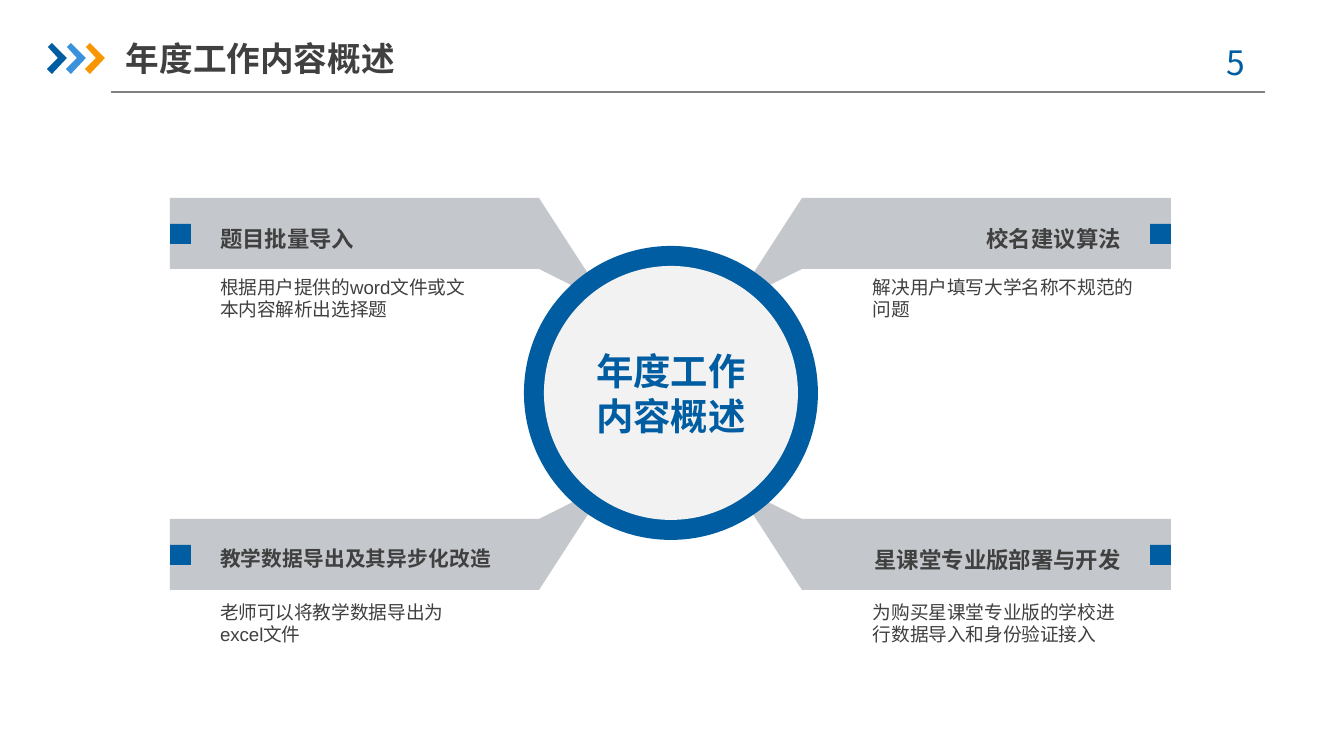
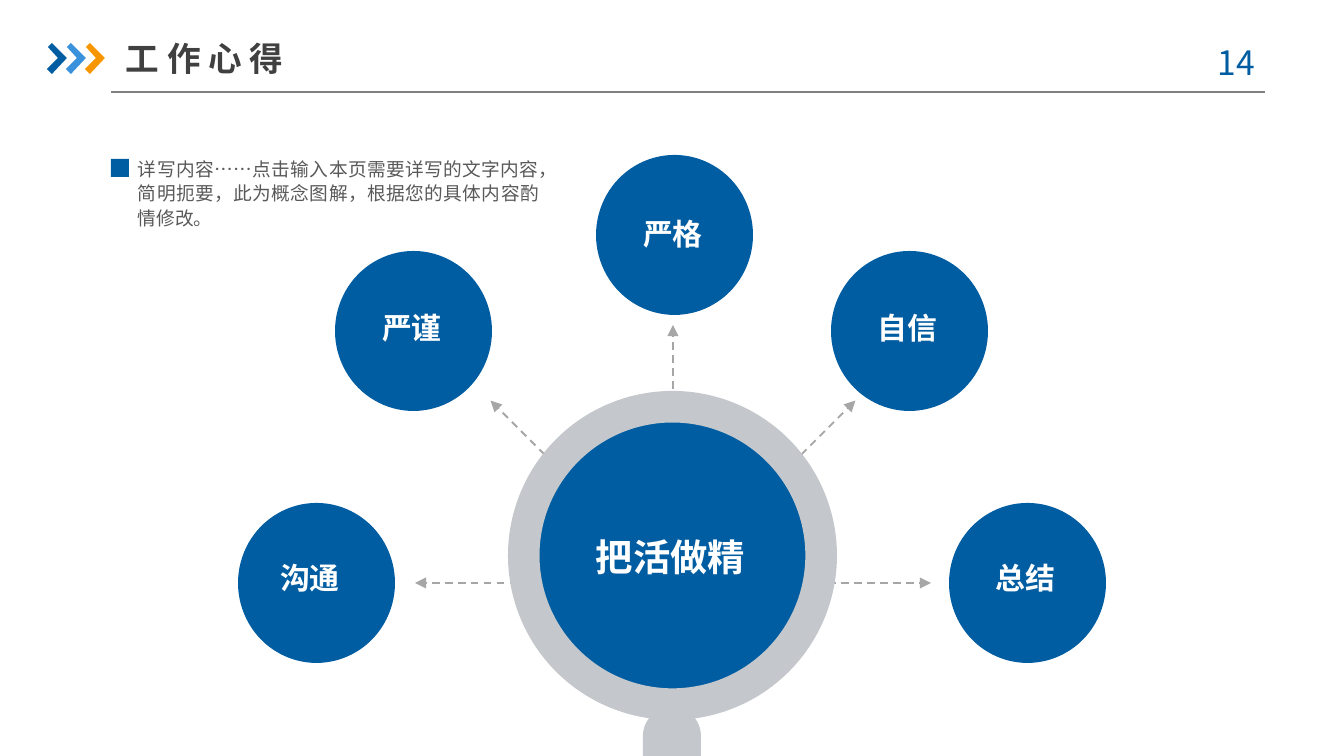
from math import cos, radians, sin

from pptx import Presentation
from pptx.dml.color import RGBColor
from pptx.enum.dml import MSO_LINE
from pptx.enum.shapes import MSO_CONNECTOR, MSO_SHAPE
from pptx.enum.text import MSO_ANCHOR, MSO_AUTO_SIZE, PP_ALIGN
from pptx.oxml.ns import qn
from pptx.util import Pt
from lxml.etree import SubElement

SCALE = 914400 / 134.4
SLIDE_SIZE = (1344, 756)
LATIN_FONT = "Arial"
ASIAN_FONT = "Noto Sans CJK SC"
COLORS = {
    "blue": "005DA2",
    "sky": "3992DB",
    "orange": "F79600",
    "silver": "C4C7CB",
    "pale": "F2F2F2",
    "white": "FFFFFF",
    "title": "404040",
    "body": "595959",
    "rule": "808080",
    "arrow": "A6A6A6",
}


def px(length):
    return round(length * SCALE)


def color(name):
    return RGBColor.from_string(COLORS[name])


def paint(shape, fill):
    shape.shadow.inherit = False
    shape.fill.solid()
    shape.fill.fore_color.rgb = color(fill)
    shape.line.fill.background()
    return shape


def add_block(page, kind, box, fill):
    """Add a filled preset shape without outline; box is left, top, width, height."""
    return paint(page.shapes.add_shape(kind, *map(px, box)), fill)


def add_outline(page, points, fill):
    """Add a filled polygon through the given points."""
    builder = page.shapes.build_freeform(*points[0], scale=SCALE)
    builder.add_line_segments(points[1:], close=True)
    return paint(builder.convert_to_shape(), fill)


def write(frame, text, size, fill, bold=False, align=PP_ALIGN.LEFT, font=LATIN_FONT):
    """Put one paragraph per line of text into the frame and format it."""
    frame.text = text
    for para in frame.paragraphs:
        para.alignment = align
        for span in para.runs:
            span.font.name = font
            span.font.size = Pt(size)
            span.font.bold = bold
            span.font.color.rgb = color(fill)
            properties = span.font._element
            SubElement(properties, qn("a:ea")).set("typeface", ASIAN_FONT)


def add_text(page, box, text, size, fill, insets=(0, 7), anchor=MSO_ANCHOR.TOP,
             grow=False, **style):
    frame = page.shapes.add_textbox(*map(px, box)).text_frame
    frame.word_wrap = True
    frame.auto_size = MSO_AUTO_SIZE.SHAPE_TO_FIT_TEXT if grow else MSO_AUTO_SIZE.NONE
    frame.vertical_anchor = anchor
    frame.margin_left = frame.margin_right = px(insets[0])
    frame.margin_top = frame.margin_bottom = px(insets[1])
    write(frame, text, size, fill, **style)
    return frame


def add_line(page, start, end, stroke, width):
    line = page.shapes.add_connector(MSO_CONNECTOR.STRAIGHT, *map(px, (*start, *end)))
    line.line.color.rgb = color(stroke)
    line.line.width = Pt(width)
    SubElement(line._element.spPr, qn("a:effectLst"))
    return line


def add_arrow(page, start, end):
    arrow = add_line(page, start, end, "arrow", 1)
    arrow.line.dash_style = MSO_LINE.DASH
    SubElement(arrow._element.spPr.find(qn("a:ln")), qn("a:tailEnd")).set("type", "triangle")


def add_header(page, title, number):
    add_line(page, (111, 92), (1265, 92), "rule", 0.75)
    chevron = [(1, 4), (5, 0), (20, 15), (5, 31), (0, 26), (11, 15)]
    for index, fill in enumerate(("blue", "sky", "orange")):
        left = 47 + 19 * index
        add_outline(page, [(left + x, 43 + y) for x, y in chevron], fill)
    add_text(page, (1191, 35, 98, 54), f"{number} ", 18, "blue", insets=(13, 7),
             grow=True, align=PP_ALIGN.CENTER, font=ASIAN_FONT)
    add_text(page, (126, 30, 313, 56), title, 18, "title", anchor=MSO_ANCHOR.MIDDLE,
             bold=True)


def add_branch(page, box, on_right, at_bottom, heading, heading_size, detail, detail_box):
    """Draw a bar with a wing towards the hub, its marker, heading and detail."""
    left, top, width, height = box

    def place(x, y):
        return (left + (width - x if on_right else x),
                top + (height - y if at_bottom else y))

    def inner_left(offset, size):
        return left + (width - offset - size if on_right else offset)

    add_block(page, MSO_SHAPE.RECTANGLE, box, "silver")
    wing = [(width, 0), (width + 57, 88), (width + 48, 95), (width, height)]
    add_outline(page, [place(x, y) for x, y in wing], "silver")
    add_block(page, MSO_SHAPE.RECTANGLE, (inner_left(0, 21), top + 26, 21, 20), "blue")
    add_text(page, (inner_left(50, 288), top + 20, 288, 42), heading, heading_size, "title",
             bold=True, align=PP_ALIGN.RIGHT if on_right else PP_ALIGN.LEFT)
    add_text(page, detail_box, detail, 10, "title", anchor=MSO_ANCHOR.MIDDLE)


def add_hub(page, box, text):
    left, top, size, _ = box
    rim = 20
    add_block(page, MSO_SHAPE.OVAL, box, "blue")
    disc = add_block(page, MSO_SHAPE.OVAL,
                     (left + rim, top + rim, size - 2 * rim, size - 2 * rim), "pale")
    disc.text_frame.vertical_anchor = MSO_ANCHOR.MIDDLE
    write(disc.text_frame, text, 20, "blue", bold=True, align=PP_ALIGN.CENTER)


def build_overview(page):
    add_header(page, "年度工作内容概述", 5)
    branches = [
        (False, False, "题目批量导入", 12,
         "根据用户提供的word文件或文本内容解析出选择题", (220, 289, 261, 18)),
        (False, True, "教学数据导出及其异步化改造", 11.1,
         "老师可以将教学数据导出为excel文件", (220, 614, 261, 18)),
        (True, False, "校名建议算法", 12,
         "解决用户填写大学名称不规范的问题", (873, 289, 276, 18)),
        (True, True, "星课堂专业版部署与开发", 12,
         "为购买星课堂专业版的学校进行数据导入和身份验证接入", (873, 614, 247, 18)),
    ]
    for on_right, at_bottom, *content in branches:
        box = (802 if on_right else 170, 519 if at_bottom else 198, 369, 71)
        add_branch(page, box, on_right, at_bottom, *content)
    add_hub(page, (524, 246, 294, 294), "年度工作\n内容概述")


def add_lens(page, box, text):
    """Draw a magnifying glass: disc, rim and handle, with its text."""
    left, top, size, _ = box
    add_block(page, MSO_SHAPE.OVAL, (left + 26, top + 27, size - 54, size - 54), "blue")
    rim = add_block(page, MSO_SHAPE.DONUT, box, "silver")
    rim.adjustments[0] = 0.096
    handle = add_block(page, MSO_SHAPE.ROUNDED_RECTANGLE,
                       (left + 135, top + 316, 58, 118), "silver")
    handle.adjustments[0] = 0.5
    add_text(page, (left + 55, top + 136, 215, 59), text, 20, "white", insets=(13, 7),
             grow=True, bold=True, align=PP_ALIGN.CENTER)


def add_quality(page, left, top, label_shift, text):
    add_block(page, MSO_SHAPE.OVAL, (left, top, 157, 160), "blue")
    shift_x, shift_y = label_shift
    add_text(page, (left + shift_x, top + shift_y, 130, 52), text, 16, "white",
             insets=(16, 8), grow=True, bold=True, align=PP_ALIGN.CENTER)


def add_note(page, box, text):
    left, top, width, height = box
    add_block(page, MSO_SHAPE.RECTANGLE, (left, top + 3, 18, 18), "blue")
    frame = add_text(page, (left + 27, top, width - 27, height), text, 10, "body",
                     insets=(0, 0), grow=True, align=PP_ALIGN.JUSTIFY)
    frame.paragraphs[0].line_spacing = Pt(13)


def build_reflections(page):
    add_header(page, "工 作 心 得", 14)
    center_x, center_y, reach = 673, 583, 258
    for angle in range(0, 181, 45):
        tip = (center_x + reach * cos(radians(angle)), center_y - reach * sin(radians(angle)))
        add_arrow(page, (center_x, center_y), tip)
    add_lens(page, (508, 391, 329, 329), "把活做精")
    qualities = [
        (238, 503, (7, 49), "沟通"),
        (335, 251, (12, 51), "严谨"),
        (596, 155, (12, 53), "严格"),
        (831, 251, (11, 51), "自信"),
        (949, 503, (11, 49), "总结"),
    ]
    for quality in qualities:
        add_quality(page, *quality)
    add_note(page, (111, 156, 428, 74),
             "详写内容……点击输入本页需要详写的文字内容，简明扼要，此为概念图解，"
             "根据您的具体内容酌情修改。")


def main():
    deck = Presentation()
    deck.slide_width, deck.slide_height = map(px, SLIDE_SIZE)
    blank = deck.slide_layouts[6]
    for build in (build_overview, build_reflections):
        build(deck.slides.add_slide(blank))
    deck.save("out.pptx")


if __name__ == "__main__":
    main()
